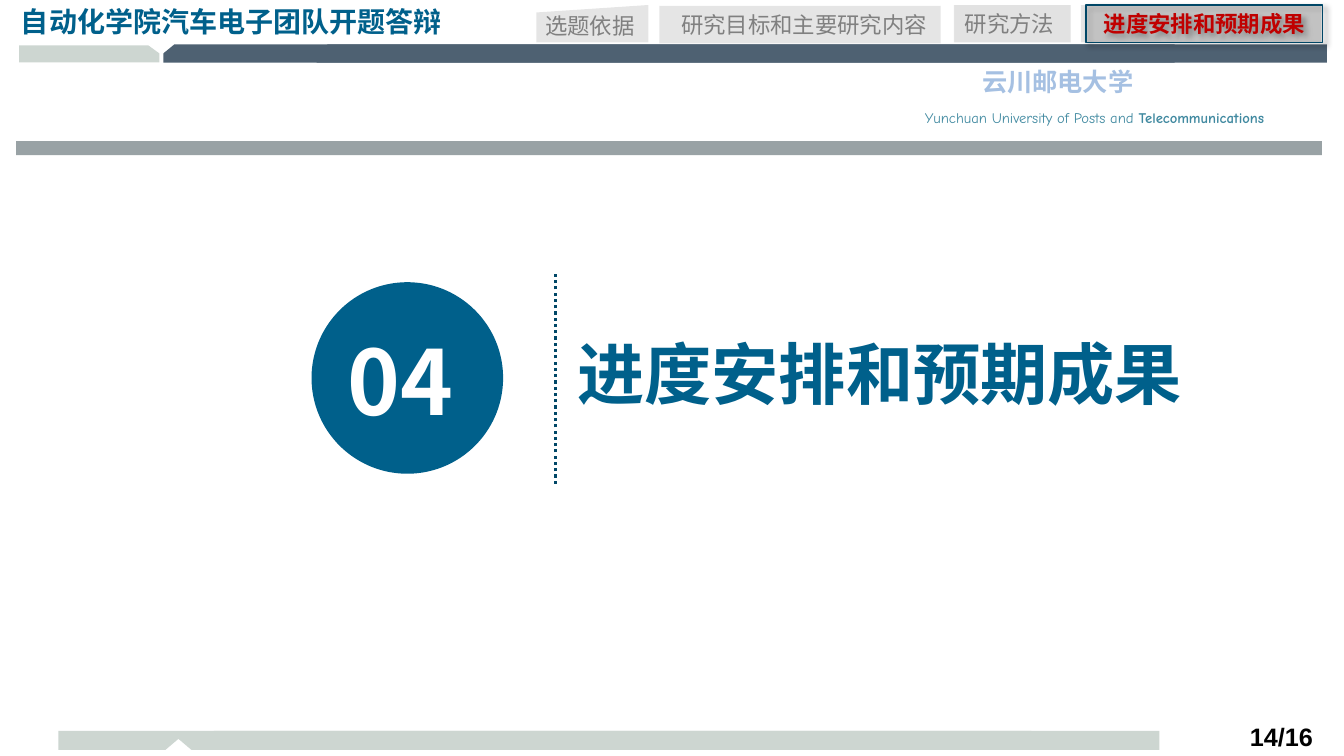
"""Build the section slide for part 04, schedule and expected results."""
from lxml.etree import SubElement
from pptx import Presentation
from pptx.dml.color import RGBColor
from pptx.enum.dml import MSO_LINE
from pptx.enum.shapes import MSO_CONNECTOR, MSO_SHAPE as Shape
from pptx.enum.text import MSO_ANCHOR, MSO_AUTO_SIZE, PP_ALIGN as Align
from pptx.oxml.ns import qn
from pptx.util import Inches, Pt

BLUE = RGBColor(0x00, 0x60, 0x8B)
NAVY = RGBColor(0x00, 0x47, 0x67)
SLATE = RGBColor(0x4E, 0x61, 0x72)
SAGE = RGBColor(0xCD, 0xD6, 0xD1)
STEEL = RGBColor(0x99, 0xA2, 0xA5)
GRAY = RGBColor(0x80, 0x80, 0x80)
PALE = RGBColor(0xD9, 0xD9, 0xD9)
SKY = RGBColor(0xA5, 0xC0, 0xE2)
TEAL = RGBColor(0x40, 0x89, 0xA0)
RED = RGBColor(0xC0, 0x00, 0x00)
WHITE = RGBColor(0xFF, 0xFF, 0xFF)
BLACK = RGBColor(0x00, 0x00, 0x00)
HAN = "Noto Sans CJK SC"


def paint(shape, color, alpha=100):
    shape.shadow.inherit = False
    shape.line.fill.background()
    shape.fill.solid()
    shape.fill.fore_color.rgb = color
    if alpha < 100:
        tint = shape._element.spPr.find(qn("a:solidFill"))[0]
        SubElement(tint, qn("a:alpha"), val=str(alpha * 1000))


def write(shape, text, size, color, bold=True, align=Align.LEFT,
          font=HAN, pad=(0.1, 0.05), wrap=True):
    frame = shape.text_frame
    frame.text = text
    frame.word_wrap = wrap
    frame.auto_size = MSO_AUTO_SIZE.NONE
    frame.vertical_anchor = MSO_ANCHOR.MIDDLE
    frame.margin_left = frame.margin_right = Inches(pad[0])
    frame.margin_top = frame.margin_bottom = Inches(pad[1])
    para = frame.paragraphs[0]
    para.alignment = align
    run = para.runs[0]
    run.font.size = Pt(size)
    run.font.bold = bold
    run.font.color.rgb = color
    run.font.name = font
    SubElement(run._r.get_or_add_rPr(), qn("a:ea"), typeface=font)
    return para


deck = Presentation()
deck.slide_width, deck.slide_height = Inches(13.33), Inches(7.5)
slide = deck.slides.add_slide(deck.slide_layouts[5])
shapes = slide.shapes

bands = [
    (SAGE, [(0.19, 0.45), (1.47, 0.45), (1.58, 0.53), (1.58, 0.62), (0.19, 0.62)]),
]
for left, right in [(3.14, 13.16), (1.62, 11.65)]:
    bands.append((SLATE, [(right, 0.44), (right, 0.62), (left, 0.62),
                          (left, 0.53), (left + 0.11, 0.44)]))
for left, right, notch in [(2.12, 11.5, 3.28), (0.58, 10.23, 1.77)]:
    bands.append((SAGE, [(right, 7.25), (right, 7.44), (notch + 0.13, 7.44),
                         (notch, 7.33), (notch - 0.13, 7.44),
                         (left, 7.44), (left, 7.25)]))
for color, points in bands:
    spots = [(Inches(x), Inches(y)) for x, y in points]
    pen = shapes.build_freeform(*spots[0])
    pen.add_line_segments(spots[1:], close=True)
    paint(pen.convert_to_shape(), color)

rule = shapes.add_shape(Shape.RECTANGLE, *map(Inches, (0.16, 1.4, 12.95, 0.14)))
paint(rule, STEEL)

school = shapes.add_textbox(*map(Inches, (8.77, 0.62, 3.44, 0.38)))
write(school, "云川邮电大学", 18, SKY, align=Align.CENTER, pad=(0.07, 0.04))
motto = shapes.add_textbox(*map(Inches, (8.5, 1.04, 4.71, 0.25)))
para = write(motto, "Yunchuan University of Posts and ", 10.5, TEAL, bold=False,
             align=Align.CENTER, font="Comic Neue", pad=(0.07, 0.04))
tail = para.add_run()
tail.text = "Telecommunications"
tail.font.size = Pt(10.5)
tail.font.name = "Comic Neue"
tail.font.bold = True
tail.font.color.rgb = TEAL

page = shapes.add_textbox(*map(Inches, (11.98, 7.11, 1.14, 0.39)))
write(page, "14/16", 18, BLACK, align=Align.RIGHT, font="Arial")
team = shapes.add_textbox(*map(Inches, (0.11, -0.01, 4.41, 0.44)))
write(team, "自动化学院汽车电子团队开题答辩", 20, BLUE, wrap=False)

title = shapes.title
title.left, title.top, title.width, title.height = map(Inches, (5.06, 3.23, 6.83, 0.94))
para = write(title, "进度安排和预期成果", 48, BLUE, align=Align.CENTER,
             pad=(0.13, 0.07), wrap=False)
para._p.get_or_add_pPr().set("indent", str(Inches(0.5)))

line = shapes.add_connector(MSO_CONNECTOR.STRAIGHT, *map(Inches, (5.51, 4.8, 5.51, 2.69)))
line.line.color.rgb = NAVY
line.line.width = Pt(2.25)
line.line.dash_style = MSO_LINE.ROUND_DOT
SubElement(line._element.spPr, qn("a:effectLst"))

disc = shapes.add_shape(Shape.OVAL, *map(Inches, (3.09, 2.8, 1.9, 1.9)))
paint(disc, BLUE)
number = shapes.add_textbox(*map(Inches, (3.45, 3.23, 1.11, 1.08)))
write(number, "04", 64, WHITE, pad=(0, 0), wrap=False)

tabs = [
    ("选题依据", Shape.FLOWCHART_MANUAL_INPUT, (5.32, 0.05, 1.11), (5.31, 0.07, 1.12),
     None, Align.LEFT),
    ("研究方法", Shape.RECTANGLE, (9.46, 0.05, 1.16), (9.47, 0.05, 1.15),
     PALE, Align.LEFT),
    ("研究目标和主要研究内容", Shape.RECTANGLE, (6.54, 0.06, 2.79), (6.6, 0.06, 2.75),
     None, Align.CENTER),
    ("进度安排和预期成果", Shape.RECTANGLE, (10.72, 0.05, 2.38), (10.77, 0.05, 2.35),
     GRAY, Align.CENTER),
]
for text, kind, back, front, fill, align in tabs:
    paint(shapes.add_shape(kind, *map(Inches, (*back, 0.37))), GRAY, 20)
    spot = [Inches(n) for n in (*front, 0.37)]
    if fill:
        label = shapes.add_shape(Shape.RECTANGLE, *spot)
        paint(label, fill, 20)
    else:
        label = shapes.add_textbox(*spot)
    now = fill == GRAY
    write(label, text, 16, RED if now else GRAY, bold=now, align=align)

label.line.color.rgb = NAVY
label.line.width = Pt(1)
glow = SubElement(label._element.spPr.find(qn("a:effectLst")), qn("a:outerShdw"),
                  blurRad=str(Pt(4)), dist=str(Pt(3)), dir=str(45 * 60000))
shade = SubElement(glow, qn("a:srgbClr"), val=str(BLACK))
SubElement(shade, qn("a:alpha"), val="40000")

deck.save("out.pptx")
